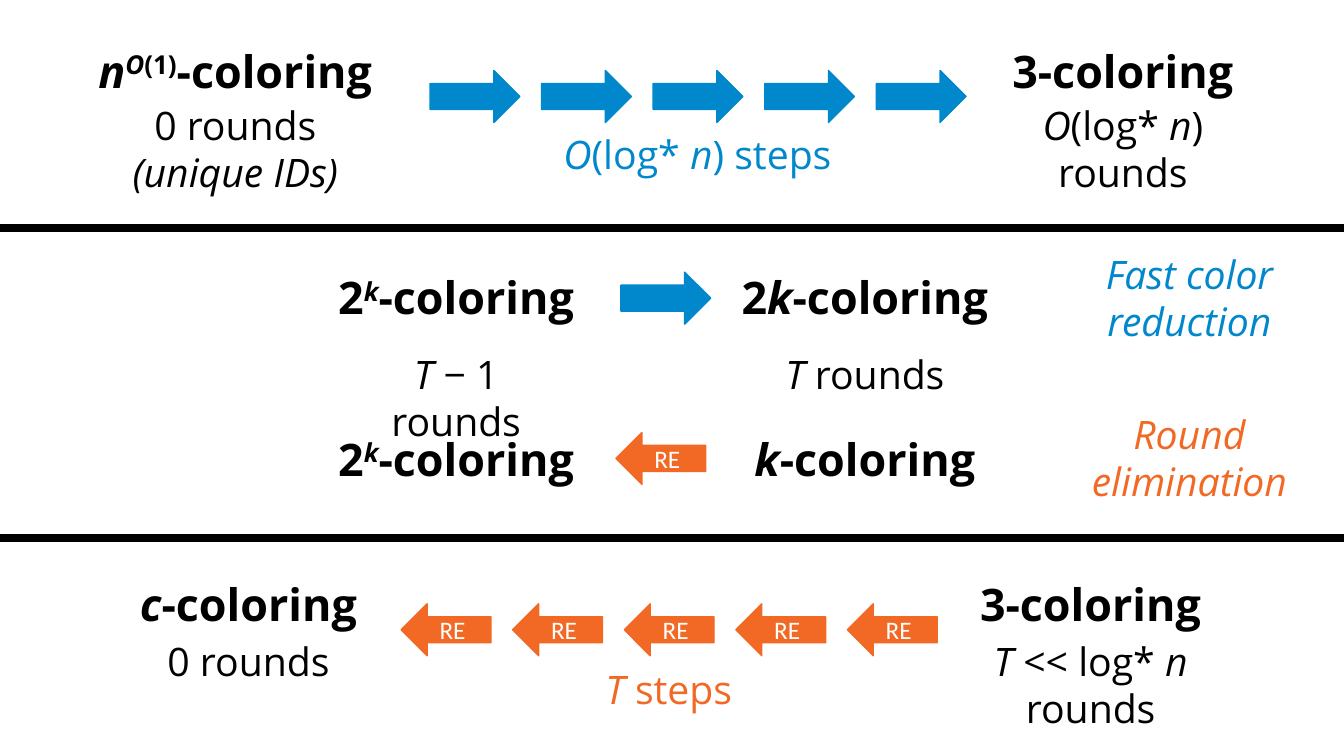
from dataclasses import dataclass

from lxml.etree import SubElement
from pptx import Presentation
from pptx.dml.color import RGBColor as Color
from pptx.enum.shapes import MSO_CONNECTOR as Link, MSO_SHAPE as Form
from pptx.enum.text import MSO_ANCHOR as Anchor, MSO_AUTO_SIZE as Fit, PP_ALIGN as Align
from pptx.oxml.ns import qn
from pptx.util import Inches, Pt


@dataclass(frozen=True)
class Theme:
    black: Color = Color(0x00, 0x00, 0x00)
    white: Color = Color(0xFF, 0xFF, 0xFF)
    blue: Color = Color(0x00, 0x87, 0xCC)
    orange: Color = Color(0xF1, 0x69, 0x24)
    font: str = "Open Sans"
    tag_font: str = "Calibri"
    title: int = 32
    body: int = 28
    tag: int = 18
    rule: int = 6
    edge: int = 1


class Board:
    """Draws on one slide; all lengths are percent of its width or height."""

    def __init__(self, deck, theme):
        self.deck, self.theme = deck, theme
        self.slide = deck.slides.add_slide(deck.slide_layouts[6])
        self.shapes = self.slide.shapes

    def across(self, share):
        return round(self.deck.slide_width * share / 100)

    def down(self, share):
        return round(self.deck.slide_height * share / 100)

    def text(self, words, mid, top, wide, color=None, bold=False):
        """Centred text; _ toggles italic and ^ toggles superscript."""
        theme = self.theme
        lines = words.split("\n")
        size = theme.title if bold else theme.body
        high = 8.5 if bold else 1.3 + 6.3 * len(lines)
        box = self.shapes.add_textbox(self.across(mid - wide / 2), self.down(top),
                                      self.across(wide), self.down(high))
        frame = box.text_frame
        frame.word_wrap = False
        frame.auto_size = Fit.SHAPE_TO_FIT_TEXT
        for row, line in enumerate(lines):
            para = frame.add_paragraph() if row else frame.paragraphs[0]
            para.alignment = Align.CENTER
            raised = False
            for turn, part in enumerate(line.split("_")):
                for step, piece in enumerate(part.split("^")):
                    raised ^= step > 0
                    if not piece:
                        continue
                    run = para.add_run()
                    run.text = piece
                    self.style(run.font, theme.font, size, color or theme.black)
                    run.font.bold = bold
                    run.font.italic = turn % 2 == 1
                    if raised:
                        run._r.get_or_add_rPr().set("baseline", "30000")

    def style(self, font, name, size, color):
        font.name, font.size = name, Pt(size)
        font.color.rgb = color

    def title(self, words, mid, top, wide):
        self.text(words, mid, top, wide, bold=True)

    def arrow(self, form, left, top, color, tag=""):
        theme = self.theme
        shape = self.shapes.add_shape(form, self.across(left), self.down(top),
                                      self.across(6.68), self.down(6.87))
        shape.shadow.inherit = False
        shape.fill.solid()
        shape.fill.fore_color.rgb = color
        shape.line.color.rgb = color
        shape.line.width = Pt(theme.edge)
        if tag:
            frame = shape.text_frame
            frame.text = tag
            frame.vertical_anchor = Anchor.MIDDLE
            para = frame.paragraphs[0]
            para.alignment = Align.CENTER
            self.style(para.runs[0].font, theme.tag_font, theme.tag, theme.white)

    def reduce(self, left, top):
        self.arrow(Form.RIGHT_ARROW, left, top, self.theme.blue)

    def remove(self, left, top):
        self.arrow(Form.LEFT_ARROW, left, top, self.theme.orange, "RE")

    def chain(self, draw, left, top, count=5, pitch=8.3):
        for step in range(count):
            draw(left + step * pitch, top)

    def rule(self, top):
        line = self.shapes.add_connector(Link.STRAIGHT, 0, self.down(top),
                                         self.across(100), self.down(top))
        line.line.color.rgb = self.theme.black
        line.line.width = Pt(self.theme.rule)
        SubElement(line._element.spPr, qn("a:effectLst"))


def main():
    deck = Presentation()
    deck.slide_width, deck.slide_height = Inches(13.333), Inches(7.5)
    theme = Theme()
    board = Board(deck, theme)

    # Top band: repeated color reduction
    first, last = 17.51, 83.55
    board.title("_n^O_(1)^-coloring", first, 5.07, 23.93)
    board.text("0 rounds\n_(unique IDs)_", first, 12.8, 17.93)
    board.chain(board.reduce, 32, 9.33)
    board.text("_O_(log* _n_) steps", 51.9, 16.53, 22.2, theme.blue)
    board.title("3-coloring", last, 5.07, 19.2)
    board.text("_O_(log* _n_)\nrounds", last, 12.8, 14.18)

    # Middle band: one step of each kind
    left, right, side = 33.94, 64.35, 88.5
    for top in (35.07, 56.4):
        board.title("2^_k_^-coloring", left, top, 20.63)
    board.title("2_k_-coloring", right, 35.07, 21.3)
    board.title("_k_-coloring", right, 56.4, 19.43)
    board.text("_T_ − 1 rounds", left, 45.73, 18.15)
    board.text("_T_ rounds", right, 45.73, 13.35)
    board.reduce(46.2, 36)
    board.remove(45.83, 57.2)
    board.text("_Fast color_\n_reduction_", side, 32.4, 14.7, theme.blue)
    board.text("_Round_\n_elimination_", side, 53.6, 16.65, theme.orange)

    # Bottom band: repeated round elimination
    first, last = 18.49, 81.15
    board.title("_c_-coloring", first, 75.6, 18.98)
    board.text("0 rounds", first, 83.6, 13.58)
    board.chain(board.remove, 29.85, 79.87)
    board.text("_T_ steps", 49.76, 87.33, 11.18, theme.orange)
    board.title("3-coloring", last, 75.6, 19.2)
    board.text("_T_ << log* _n_\nrounds", last, 83.6, 17.33)

    # Rules between the bands
    for top in (30.13, 71.2):
        board.rule(top)

    deck.save("out.pptx")


if __name__ == "__main__":
    main()
